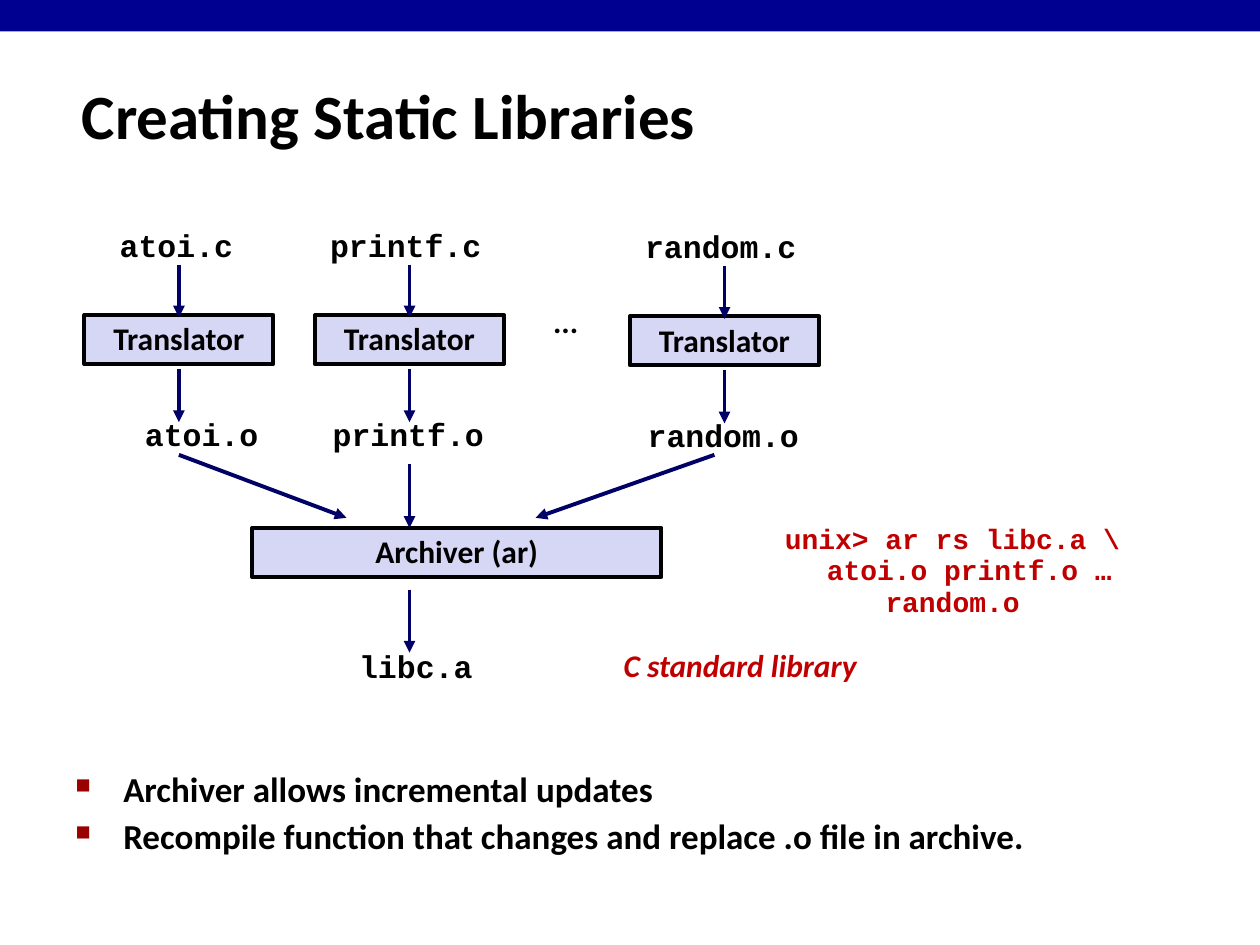
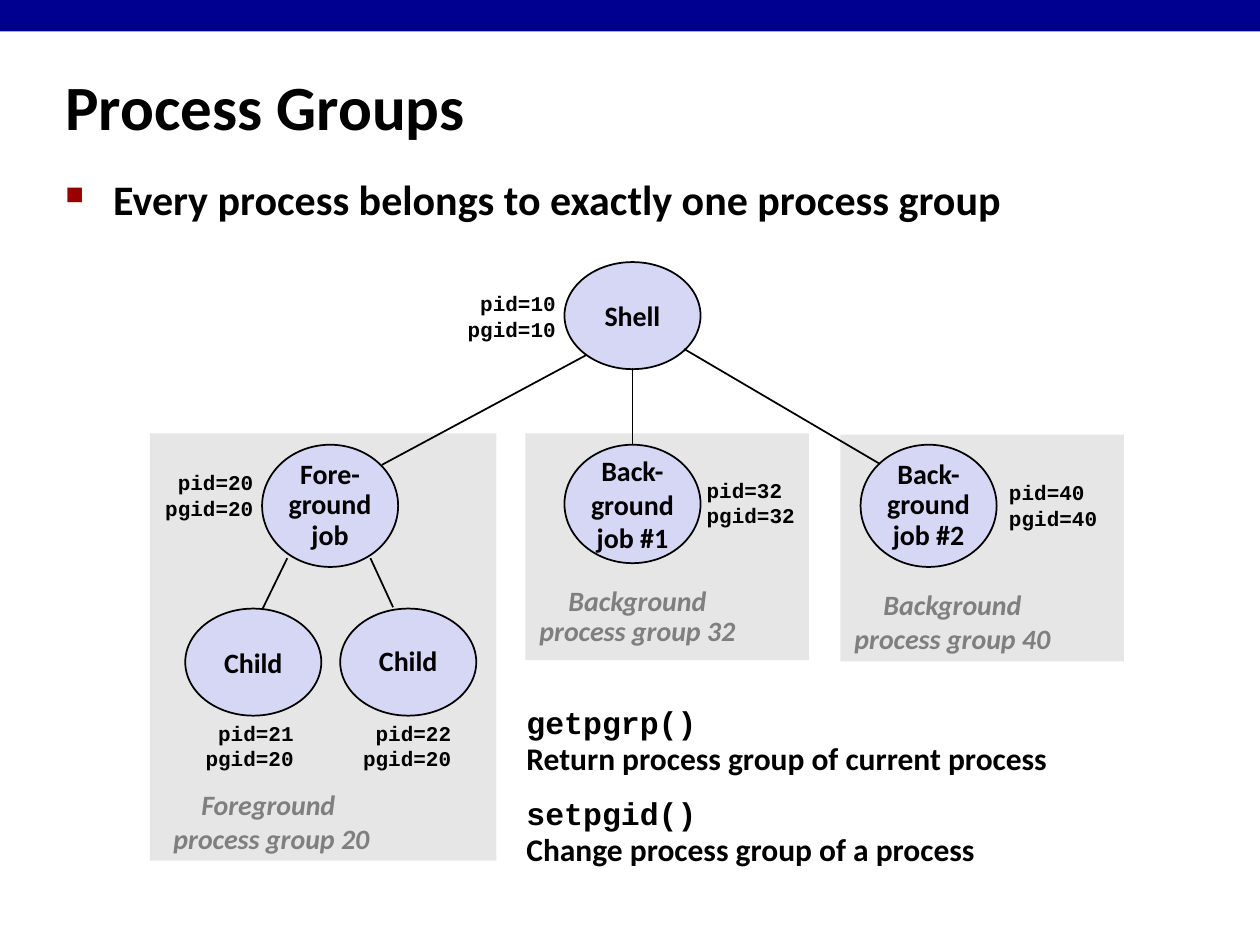
from lxml import etree
from pptx import Presentation
from pptx.dml.color import RGBColor
from pptx.enum.shapes import MSO_CONNECTOR, MSO_SHAPE
from pptx.enum.text import MSO_ANCHOR as ANCHOR, PP_ALIGN as ALIGN
from pptx.oxml.ns import qn
from pptx.util import Inches, Pt

BLACK = RGBColor(0x00, 0x00, 0x00)
BAND = RGBColor(0x00, 0x00, 0x90)
NAVY = RGBColor(0x00, 0x00, 0x66)
LAVENDER = RGBColor(0xD6, 0xD6, 0xF5)
RED = RGBColor(0xC0, 0x00, 0x00)
GRAY = RGBColor(0x7F, 0x7F, 0x7F)
PANEL = RGBColor(0xE6, 0xE6, 0xE6)
SANS, MONO = "Calibri", "Courier New"


def add_text(slide, box, text, size, font=SANS, color=BLACK, italic=False, align=ALIGN.CENTER,
             anchor=ANCHOR.TOP, spacing=1.0, before=0, wrap=True, bullet=False,
             shape=None, fill=LAVENDER, line=0):
    """Add a text box, or a filled preset shape when one is given."""
    box = [Inches(v) for v in box]
    if shape is None:
        sp = slide.shapes.add_textbox(*box)
    else:
        sp = slide.shapes.add_shape(shape, *box)
        sp.shadow.inherit = False
        sp.fill.solid()
        sp.fill.fore_color.rgb = fill
        if line:
            sp.line.color.rgb = BLACK
            sp.line.width = Pt(line)
        else:
            sp.line.fill.background()
    tf = sp.text_frame
    tf.word_wrap = wrap
    tf.vertical_anchor = anchor
    tf.text = text
    for i, p in enumerate(tf.paragraphs):
        p.alignment = align
        p.line_spacing = spacing
        p.space_before = Pt(before if i else 0)
        if bullet:
            pPr = p._p.get_or_add_pPr()
            pPr.set("marL", str(Inches(0.38)))
            pPr.set("indent", str(-Inches(0.38)))
            clr = etree.SubElement(pPr, qn("a:buClr"))
            etree.SubElement(clr, qn("a:srgbClr"), val="990000")
            etree.SubElement(pPr, qn("a:buSzPct"), val="60000")
            etree.SubElement(pPr, qn("a:buChar"), char="■")
        for r in p.runs:
            r.font.name, r.font.size = font, Pt(size)
            r.font.bold, r.font.italic = True, italic
            r.font.color.rgb = color
    return sp


def add_line(slide, x1, y1, x2, y2, color=BLACK, width=1, arrow=False):
    ln = slide.shapes.add_connector(MSO_CONNECTOR.STRAIGHT, *[Inches(v) for v in (x1, y1, x2, y2)])
    ln.line.color.rgb = color
    ln.line.width = Pt(width)
    if arrow:
        etree.SubElement(ln.line._get_or_add_ln(), qn("a:tailEnd"), type="triangle")
    etree.SubElement(ln._element.spPr, qn("a:effectLst"))


prs = Presentation()
prs.slide_width, prs.slide_height = Inches(10), Inches(7.5)

# Band and title on each slide
titles = [("Creating Static Libraries", (0.55, 0.48, 9.12, 0.86)),
          ("Process Groups", (0.42, 0.42, 8.3, 0.83))]
for title, box in titles:
    s = prs.slides.add_slide(prs.slide_layouts[6])
    add_text(s, (0, 0, 10, 0.25), "", 18, shape=MSO_SHAPE.RECTANGLE, fill=BAND)
    add_text(s, box, title, 36, align=ALIGN.LEFT, anchor=ANCHOR.MIDDLE)
libs, groups = prs.slides

# Slide 1: one translator column per source file
code = dict(size=18, font=MONO, spacing=0.94, wrap=False)
step = dict(size=18, spacing=0.98, shape=MSO_SHAPE.RECTANGLE, line=2.25)
arrow = dict(color=NAVY, width=2.25, arrow=True)
columns = [("atoi", 1.42, 0, 1.1, 0.85, 1.05),
           ("printf", 3.25, 0, 1.4, 2.52, 2.54),
           ("random", 5.75, 0.01, 1.4, 5.02, 5.04)]
for name, x, dy, width, source_x, object_x in columns:
    add_text(libs, (source_x, 1.77 + dy, width, 0.38), name + ".c", **code)
    add_text(libs, (x - 0.75, 2.5 + dy, 1.5, 0.39), "Translator", **step)
    add_text(libs, (object_x, 3.27 + dy, width, 0.38), name + ".o", **code)
    for y in (2.1, 2.93):
        add_line(libs, x, y + dy, x, y + dy + 0.42, **arrow)
add_text(libs, (4.29, 2.36, 0.4, 0.4), "...", 18, spacing=0.98, wrap=False)

# Archiver and its result
add_text(libs, (2, 4.19, 3.25, 0.39), "Archiver (ar)", **step)
add_text(libs, (2.75, 5.11, 1.1, 0.38), "libc.a", **code)
for ends in [(1.42, 3.61, 2.75, 4.11), (3.25, 3.68, 3.25, 4.19),
             (5.67, 3.61, 4.25, 4.11), (3.25, 4.68, 3.25, 5.18)]:
    add_line(libs, *ends, **arrow)
add_text(libs, (5.6, 4.11, 3.92, 0.6), "unix> ar rs libc.a \\\n  atoi.o printf.o … random.o",
         16, MONO, RED, spacing=0.94, wrap=False)
add_text(libs, (4.25, 5.09, 3.25, 0.4), "C standard library", 18, color=RED, italic=True, spacing=0.98)
add_text(libs, (0.5, 6.08, 9.09, 1.17),
         "Archiver allows incremental updates\n"
         "Recompile function that changes and replace .o file in archive.",
         20, align=ALIGN.LEFT, spacing=0.9, before=5, bullet=True)

# Slide 2: group panels and lead bullet
for panel in [(6.67, 3.45, 2.25, 1.8), (4.17, 3.44, 2.25, 1.8), (1.19, 3.44, 2.75, 3.39)]:
    add_text(groups, panel, "", 16, shape=MSO_SHAPE.RECTANGLE, fill=PANEL)
add_text(groups, (0.42, 1.33, 8.44, 0.67), "Every process belongs to exactly one process group",
         24, align=ALIGN.LEFT, bullet=True)

# Process tree
processes = [("Fore-\nground\njob", 2.08, 3.53, 0.97, 0.9),
             ("Back-\nground\njob #1", 4.48, 3.53, 0.94, 1.0),
             ("Back-\nground\njob #2", 6.83, 3.53, 0.97, 0.9),
             ("Shell", 4.48, 2.08, 0.85, 1.0),
             ("Child", 1.47, 4.83, 0.85, 1.0),
             ("Child", 2.7, 4.83, 0.85, 0.9)]
for name, x, y, height, spacing in processes:
    add_text(groups, (x, y, 1.08, height), name, 16, anchor=ANCHOR.MIDDLE, spacing=spacing,
             wrap=False, shape=MSO_SHAPE.OVAL, line=1)
for ends in [(2.28, 4.43, 2.08, 4.84), (2.94, 4.43, 3.12, 4.82), (5.02, 2.92, 5.02, 3.53),
             (4.65, 2.82, 3.03, 3.69), (5.43, 2.77, 6.98, 3.68)]:
    add_line(groups, *ends)

# Process and group ids
ids = [(10, 10, 3.61, 2.26, ALIGN.RIGHT), (20, 20, 1.21, 3.68, ALIGN.RIGHT),
       (32, 32, 5.51, 3.74, ALIGN.LEFT), (40, 40, 7.91, 3.76, ALIGN.LEFT),
       (21, 20, 1.53, 5.67, ALIGN.RIGHT), (22, 20, 2.78, 5.67, ALIGN.RIGHT)]
for pid, pgid, x, y, align in ids:
    add_text(groups, (x, y, 0.9, 0.5), f"pid={pid}\npgid={pgid}", 12, MONO,
             align=align, anchor=ANCHOR.MIDDLE, wrap=False)

# Group captions
captions = [("Foreground \nprocess group 20", (1.19, 6.2, 1.93, 0.64), 1.0),
            ("Background\nprocess group 32", (4.18, 4.61, 1.76, 0.58), 0.9),
            ("Background\nprocess group 40", (6.68, 4.61, 1.76, 0.64), 1.0)]
for caption, box, spacing in captions:
    add_text(groups, box, caption, 16, color=GRAY, italic=True, anchor=ANCHOR.MIDDLE, spacing=spacing)

# System calls, with the function names in code type
calls = add_text(groups, (4.08, 5.55, 4.5, 1.5),
                 "getpgrp()\vReturn process group of current process\n"
                 "setpgid()\vChange process group of a process",
                 18, align=ALIGN.LEFT, spacing=0.95, before=11.2)
for p in calls.text_frame.paragraphs:
    p.runs[0].font.name = MONO

prs.save("out.pptx")
